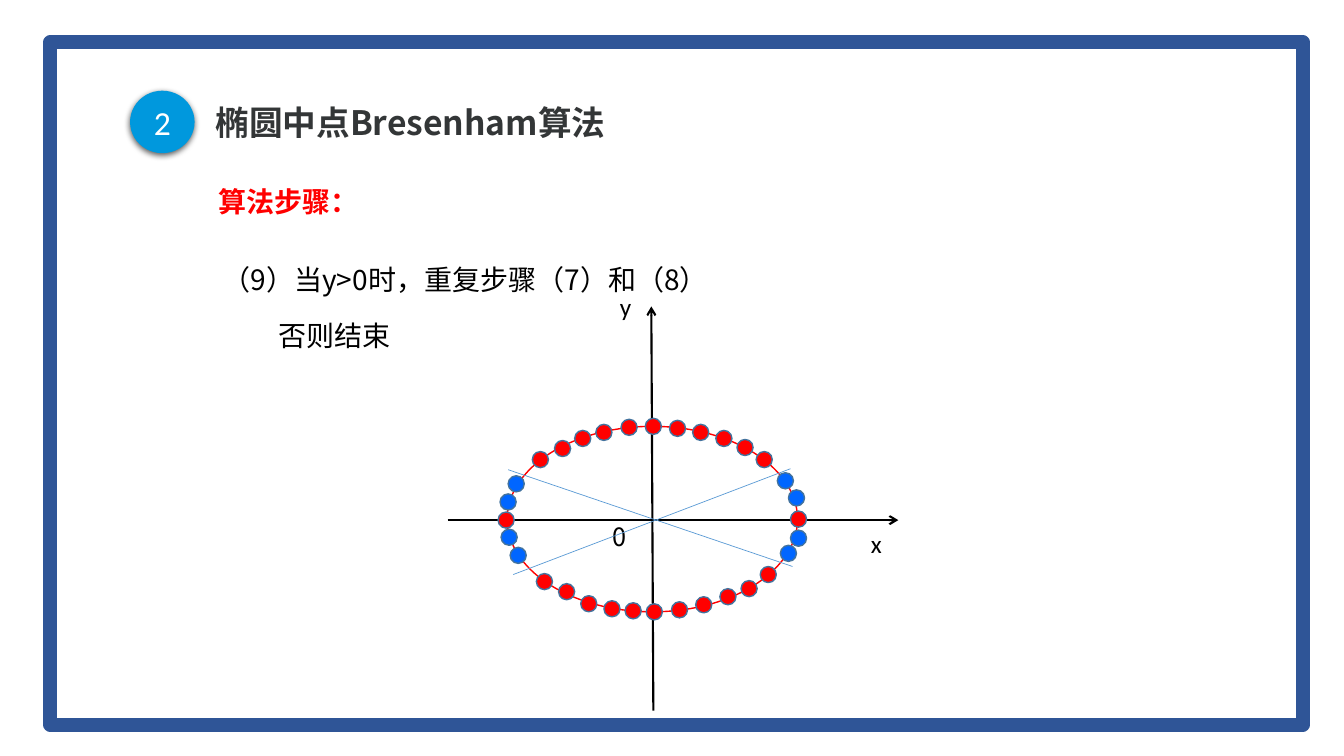
from lxml.etree import SubElement
from pptx import Presentation
from pptx.dml.color import RGBColor
from pptx.enum.shapes import MSO_CONNECTOR, MSO_SHAPE
from pptx.enum.text import MSO_ANCHOR, MSO_AUTO_SIZE, PP_ALIGN
from pptx.oxml.ns import qn
from pptx.util import Inches, Pt

COLORS = {
    "white": "FFFFFF",
    "black": "000000",
    "frame": "2F5597",
    "title": "333637",
    "badge": "0098DD",
    "red": "FF0000",
    "blue": "0066FF",
    "dot_edge": "43739E",
    "diagonal": "5B9BD5",
}
CHINESE = "Noto Sans CJK SC"
LATIN = "Calibri"
DOT_SIZE = 0.16

RED_DOTS = [
    (6.4, 4.15), (7.84, 5.07), (6.41, 5.99), (4.94, 5.08),
    (6.64, 4.17), (6.87, 4.21), (7.1, 4.27), (7.31, 4.36),
    (6.16, 4.16), (5.91, 4.21), (5.7, 4.27), (5.5, 4.37),
    (7.35, 5.76), (7.14, 5.84), (6.9, 5.92), (6.66, 5.97),
    (6.2, 5.98), (5.99, 5.96), (5.76, 5.91), (5.54, 5.79),
    (7.5, 4.48), (7.54, 5.62), (5.28, 4.48), (5.32, 5.69),
]
BLUE_DOTS = [
    (7.71, 4.69), (7.74, 5.41), (5.04, 4.72), (5.06, 5.43),
    (7.82, 4.86), (7.84, 5.26), (4.97, 5.25), (4.96, 4.9),
]


def color(name):
    return RGBColor.from_string(COLORS[name])


def apply_format(target, values):
    for name, value in values.items():
        setattr(target, name, value)


def write_paragraph(paragraph, text, size, font_name, color_name, bold=False, **layout):
    run = paragraph.add_run()
    run.text = text
    apply_format(run.font, {"size": Pt(size), "name": font_name, "bold": bold})
    run.font.color.rgb = color(color_name)
    SubElement(run.font._element, qn("a:ea"), typeface=font_name)
    apply_format(paragraph, layout)


def set_indent(paragraph, margin, first_line):
    properties = paragraph._p.get_or_add_pPr()
    properties.set("marL", str(Inches(margin)))
    properties.set("indent", str(Inches(first_line)))


def add_text_box(slide, left, top, width, height, **frame_format):
    box = slide.shapes.add_textbox(Inches(left), Inches(top), Inches(width), Inches(height))
    frame = box.text_frame
    apply_format(frame, {"word_wrap": True, "auto_size": MSO_AUTO_SIZE.SHAPE_TO_FIT_TEXT} | frame_format)
    return frame


def add_shape(slide, kind, left, top, width, height, fill=None, line=None, line_width=1):
    shape = slide.shapes.add_shape(kind, Inches(left), Inches(top), Inches(width), Inches(height))
    shape.shadow.inherit = False
    if fill:
        shape.fill.solid()
        shape.fill.fore_color.rgb = color(fill)
    else:
        shape.fill.background()
    if line:
        shape.line.color.rgb = color(line)
        shape.line.width = Pt(line_width)
    else:
        shape.line.fill.background()
    return shape


def add_line(slide, start, end, color_name, width, arrow=False):
    points = [Inches(value) for value in (*start, *end)]
    connector = slide.shapes.add_connector(MSO_CONNECTOR.STRAIGHT, *points)
    connector.line.color.rgb = color(color_name)
    connector.line.width = Pt(width)
    if arrow:
        SubElement(connector.line._get_or_add_ln(), qn("a:tailEnd"), type="arrow")
    SubElement(connector._element.spPr, qn("a:effectLst"))


def add_frame(slide):
    panel = add_shape(slide, MSO_SHAPE.RECTANGLE, 0.58, 0.5, 12.25, 6.62, fill="white")
    fill_color = panel._element.spPr.find(qn("a:solidFill"))[0]
    SubElement(fill_color, qn("a:alpha"), val="86000")
    add_shape(slide, MSO_SHAPE.RECTANGLE, 0.5, 0.42, 12.42, 6.77, line="frame", line_width=10)


def add_badge(slide):
    badge = add_shape(slide, MSO_SHAPE.OVAL, 1.29, 0.9, 0.64, 0.62, fill="badge")
    effects = badge._element.spPr.find(qn("a:effectLst"))
    shadow = SubElement(effects, qn("a:outerShdw"), blurRad=str(Pt(4.5)), dist=str(Pt(1.5)),
                        dir="5400000", algn="t", rotWithShape="0")
    shadow_color = SubElement(shadow, qn("a:srgbClr"), val=COLORS["black"])
    SubElement(shadow_color, qn("a:alpha"), val="63000")
    badge.text_frame.vertical_anchor = MSO_ANCHOR.MIDDLE
    write_paragraph(badge.text_frame.paragraphs[0], "2", 24, LATIN, "white", alignment=PP_ALIGN.CENTER)


def add_headings(slide):
    title = add_text_box(slide, 2.04, 0.93, 8.35, 0.61,
                         auto_size=MSO_AUTO_SIZE.NONE, vertical_anchor=MSO_ANCHOR.MIDDLE)
    write_paragraph(title.paragraphs[0], "椭圆中点Bresenham算法", 24, CHINESE, "title", True, line_spacing=0.9)
    add_badge(slide)
    subtitle = add_text_box(slide, 2.07, 1.82, 1.6, 0.4, word_wrap=False)
    set_indent(subtitle.paragraphs[0], 0.25, -0.25)
    write_paragraph(subtitle.paragraphs[0], "算法步骤：", 20, CHINESE, "red", True,
                    alignment=PP_ALIGN.JUSTIFY, line_spacing=0.9)


def add_step(slide):
    frame = add_text_box(slide, 2.11, 2.39, 10.24, 1.12)
    layout = {"alignment": PP_ALIGN.JUSTIFY, "line_spacing": 1.5}
    condition = frame.paragraphs[0]
    set_indent(condition, 0.38, -0.38)
    write_paragraph(condition, "（9）当y>0时，重复步骤（7）和（8）", 20, CHINESE, "black", **layout)
    otherwise = frame.add_paragraph()
    set_indent(otherwise, 0.55, 0)
    write_paragraph(otherwise, "否则结束", 20, CHINESE, "black", space_before=Pt(4), **layout)


def add_axes(slide):
    for text, left, top, width, font_name, wrap in [
        ("0", 5.98, 5.12, 0.35, CHINESE, False),
        ("y", 6.05, 2.84, 0.32, LATIN, False),
        ("x", 8.54, 5.19, 1.06, LATIN, True),
    ]:
        label = add_text_box(slide, left, top, width, 0.4, word_wrap=wrap)
        write_paragraph(label.paragraphs[0], text, 18, font_name, "black")
    add_line(slide, (4.44, 5.16), (8.91, 5.16), "black", 1.5, arrow=True)
    add_line(slide, (6.48, 7.05), (6.46, 3.04), "black", 1.5, arrow=True)


def add_ellipse(slide):
    add_shape(slide, MSO_SHAPE.OVAL, 5.03, 4.23, 2.88, 1.84, line="red")
    add_line(slide, (7.84, 4.65), (5.09, 5.7), "diagonal", 0.5)
    add_line(slide, (7.86, 5.62), (5.04, 4.66), "diagonal", 0.5)
    for fill, dots in (("red", RED_DOTS), ("blue", BLUE_DOTS)):
        for left, top in dots:
            add_shape(slide, MSO_SHAPE.OVAL, left, top, DOT_SIZE, DOT_SIZE, fill, "dot_edge")


def main():
    presentation = Presentation()
    presentation.slide_width = Inches(13.33)
    presentation.slide_height = Inches(7.5)
    slide = presentation.slides.add_slide(presentation.slide_layouts[6])
    add_frame(slide)
    add_headings(slide)
    add_step(slide)
    add_axes(slide)
    add_ellipse(slide)
    presentation.save("out.pptx")


if __name__ == "__main__":
    main()
